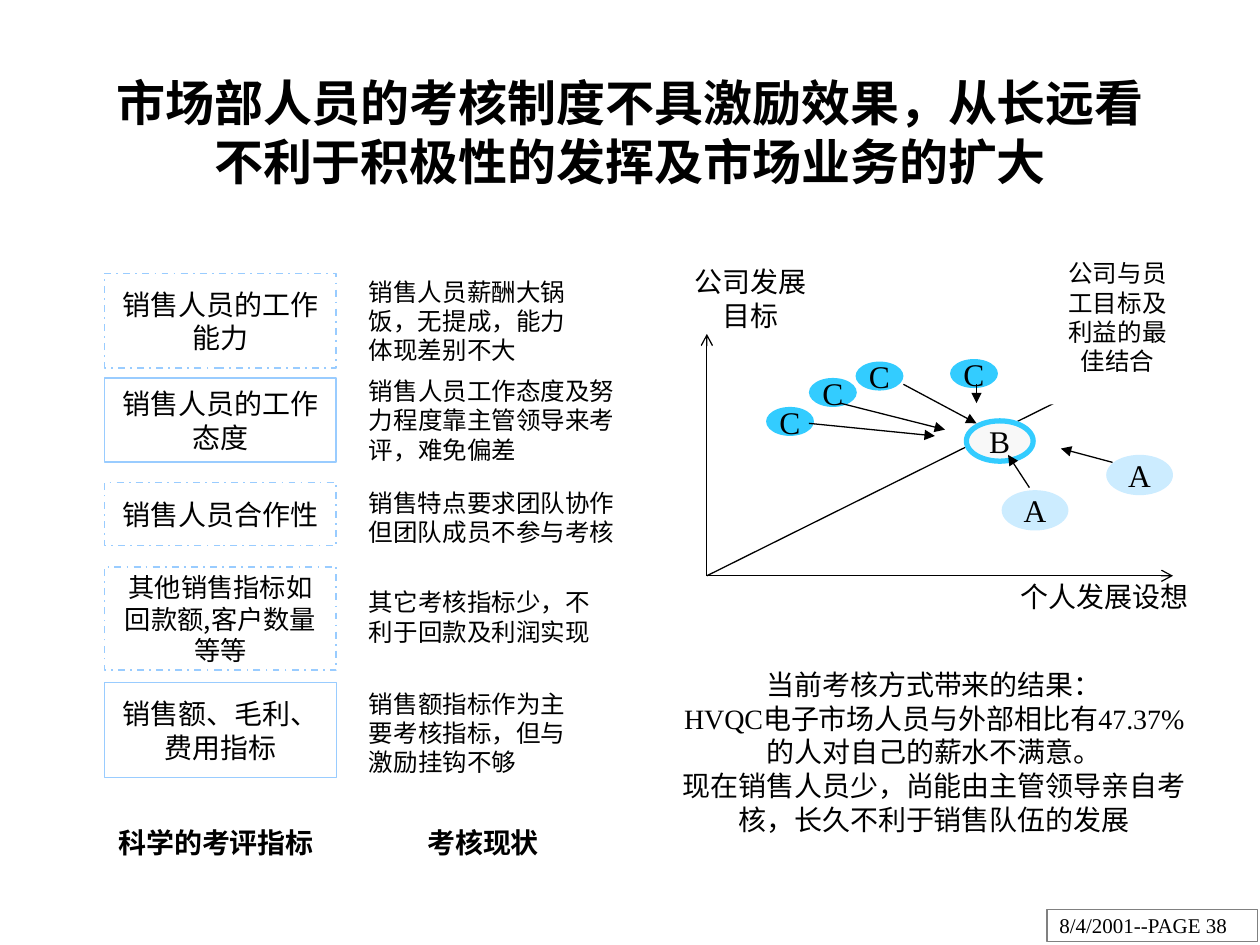
from dataclasses import dataclass
from typing import Optional

from lxml.etree import SubElement
from pptx import Presentation
from pptx.dml.color import RGBColor
from pptx.enum.dml import MSO_LINE
from pptx.enum.shapes import MSO_CONNECTOR, MSO_SHAPE
from pptx.enum.text import MSO_ANCHOR, MSO_AUTO_SIZE, PP_ALIGN
from pptx.oxml.ns import qn
from pptx.util import Emu, Pt

PX = 9144
SERIF, SANS = "Times New Roman", "Noto Sans CJK SC"
BLACK, WHITE, SKY, CYAN, PALE = "000000", "FFFFFF", "99CCFF", "33CCFF", "CCECFF"


@dataclass
class Style:
    size: int = 16
    font: str = SERIF
    bold: bool = False
    align: PP_ALIGN = PP_ALIGN.CENTER
    anchor: MSO_ANCHOR = MSO_ANCHOR.MIDDLE
    wrap: bool = True


@dataclass
class Outline:
    color: str
    width: float = 1
    dashed: bool = False


@dataclass
class Criterion:
    top: int
    height: int
    text: str
    outline: Outline
    status_top: int
    status_width: int
    status_height: int
    status: str
    size: int = 16


@dataclass
class Bubble:
    left: int
    top: int
    letter: str


@dataclass
class Arrow:
    start: tuple[int, int]
    end: tuple[int, int]
    head: Optional[str] = "triangle"


DASHED, SOLID, THIN = Outline(SKY, 1, True), Outline(SKY), Outline(SKY, 0.5)
CRITERIA = [
    Criterion(217, 75, "销售人员的工作能力", DASHED, 217, 183, 75,
              "销售人员薪酬大锅饭，无提成，能力体现差别不大"),
    Criterion(300, 67, "销售人员的工作态度", SOLID, 300, 225, 67,
              "销售人员工作态度及努力程度靠主管领导来考评，难免偏差"),
    Criterion(383, 50, "销售人员合作性", DASHED, 377, 217, 67,
              "销售特点要求团队协作但团队成员不参与考核"),
    Criterion(450, 82, "其他销售指标如回款额,客户数量等等", DASHED, 454, 208, 71,
              "其它考核指标少，不利于回款及利润实现", 15),
    Criterion(542, 75, "销售额、毛利、费用指标", THIN, 544, 192, 75,
              "销售额指标作为主要考核指标，但与激励挂钩不够"),
]
AXES = [
    Arrow((561, 457), (561, 265), "arrow"),
    Arrow((561, 457), (931, 457), "arrow"),
    Arrow((561, 457), (901, 288), None),
]
BUBBLE_LOOKS = {
    "A": (53, 32, PALE, None),
    "B": (53, 32, "F8F8F8", Outline(CYAN, 3)),
    "C": (38, 23, CYAN, None),
}
BUBBLES = [
    Bubble(767, 334, "B"), Bubble(795, 389, "A"), Bubble(878, 361, "A"),
    Bubble(642, 300, "C"), Bubble(679, 287, "C"),
    Bubble(608, 323, "C"), Bubble(754, 285, "C"),
]
PULLS = [
    Arrow((717, 305), (775, 336)), Arrow((667, 320), (750, 341)),
    Arrow((817, 387), (800, 361)), Arrow((883, 367), (842, 356)),
    Arrow((642, 336), (742, 346)), Arrow((775, 305), (775, 320)),
]


def px(value: int) -> Emu:
    """Turn layout pixels into EMU."""
    return Emu(value * PX)


def rgb(color: str) -> RGBColor:
    """Turn a hex string into a colour."""
    return RGBColor.from_string(color)


def write(shape, paragraphs: list[str], style: Style) -> None:
    """Fill a shape with one run per paragraph."""
    frame = shape.text_frame
    frame.word_wrap = style.wrap
    frame.vertical_anchor = style.anchor
    for index, text in enumerate(paragraphs):
        paragraph = frame.add_paragraph() if index else frame.paragraphs[0]
        paragraph.alignment = style.align
        run = paragraph.add_run()
        run.text = text
        run.font.size = Pt(style.size)
        run.font.bold = style.bold
        run.font.color.rgb = rgb(BLACK)
        run.font.name = style.font
        SubElement(run.font._element, qn("a:ea"), typeface=SANS)


def draw_shape(slide, kind: MSO_SHAPE, box: tuple[int, int, int, int],
               paragraphs: list[str], style: Style, fill: str = WHITE,
               outline: Optional[Outline] = None) -> None:
    """Draw a filled shape with text."""
    shape = slide.shapes.add_shape(kind, *map(px, box))
    shape.shadow.inherit = False
    shape.fill.solid()
    shape.fill.fore_color.rgb = rgb(fill)
    if outline:
        shape.line.color.rgb = rgb(outline.color)
        shape.line.width = Pt(outline.width)
        if outline.dashed:
            shape.line.dash_style = MSO_LINE.DASH_DOT
    else:
        shape.line.fill.background()
    write(shape, paragraphs, style)


def draw_label(slide, box: tuple[int, int, int, int], text: str, style: Style) -> None:
    """Draw a text box that grows with its text."""
    label = slide.shapes.add_textbox(*map(px, box))
    write(label, [text], style)
    label.text_frame.auto_size = MSO_AUTO_SIZE.SHAPE_TO_FIT_TEXT


def draw_arrow(slide, arrow: Arrow) -> None:
    """Draw a thin black line with an optional head at its end."""
    connector = slide.shapes.add_connector(
        MSO_CONNECTOR.STRAIGHT, *map(px, arrow.start + arrow.end))
    connector.line.color.rgb = rgb(BLACK)
    connector.line.width = Pt(0.75)
    if arrow.head:
        SubElement(connector.line._get_or_add_ln(), qn("a:tailEnd"), type=arrow.head)
    SubElement(connector._element.spPr, qn("a:effectLst"))


def draw_title(slide) -> None:
    """Place and format the title placeholder."""
    title = slide.shapes.title
    title.left, title.top, title.width, title.height = map(px, (75, 42, 850, 125))
    write(title, ["市场部人员的考核制度不具激励效果，从长远看不利于积极性的发挥及市场业务的扩大"],
          Style(28, bold=True))
    title.text_frame.auto_size = MSO_AUTO_SIZE.NONE


def draw_criteria(slide) -> None:
    """Draw the criteria boxes with their current status."""
    for row in CRITERIA:
        draw_shape(slide, MSO_SHAPE.RECTANGLE,
                   (283, row.status_top, row.status_width, row.status_height),
                   [row.status], Style(14, SANS, align=PP_ALIGN.LEFT))
        draw_shape(slide, MSO_SHAPE.RECTANGLE, (83, row.top, 184, row.height),
                   [row.text], Style(row.size, SANS), outline=row.outline)
    draw_label(slide, (84, 650, 175, 37), "科学的考评指标", Style(bold=True, wrap=False))
    draw_label(slide, (317, 650, 133, 37), "考核现状", Style(bold=True))


def draw_goal_diagram(slide) -> None:
    """Draw the axes, the bubbles and the arrows pulling them together."""
    for axis in AXES:
        draw_arrow(slide, axis)
    for bubble in BUBBLES:
        width, height, fill, outline = BUBBLE_LOOKS[bubble.letter]
        draw_shape(slide, MSO_SHAPE.OVAL, (bubble.left, bubble.top, width, height),
                   [bubble.letter], Style(18, wrap=False), fill, outline)
    for pull in PULLS:
        draw_arrow(slide, pull)
    draw_label(slide, (533, 205, 125, 64), "公司发展目标", Style())
    draw_label(slide, (800, 455, 153, 37), "个人发展设想", Style(wrap=False))
    draw_shape(slide, MSO_SHAPE.RECTANGLE, (833, 200, 108, 121),
               ["公司与员工目标及利益的最佳结合"], Style(14, anchor=MSO_ANCHOR.TOP))


def main() -> None:
    """Build the slide and save it."""
    presentation = Presentation()
    presentation.slide_width, presentation.slide_height = px(1000), px(750)
    slide = presentation.slides.add_slide(presentation.slide_layouts[5])
    draw_shape(slide, MSO_SHAPE.RECTANGLE, (831, 722, 167, 25), ["8/4/2001--PAGE 38"],
               Style(12, align=PP_ALIGN.LEFT, wrap=False), outline=Outline("808080", 0.75))
    draw_title(slide)
    draw_criteria(slide)
    draw_shape(slide, MSO_SHAPE.RECTANGLE, (525, 525, 433, 142),
               ["当前考核方式带来的结果：",
                "HVQC电子市场人员与外部相比有47.37%的人对自己的薪水不满意。",
                "现在销售人员少，尚能由主管领导亲自考核，长久不利于销售队伍的发展"],
               Style(anchor=MSO_ANCHOR.TOP))
    draw_goal_diagram(slide)
    presentation.save("out.pptx")


if __name__ == "__main__":
    main()
